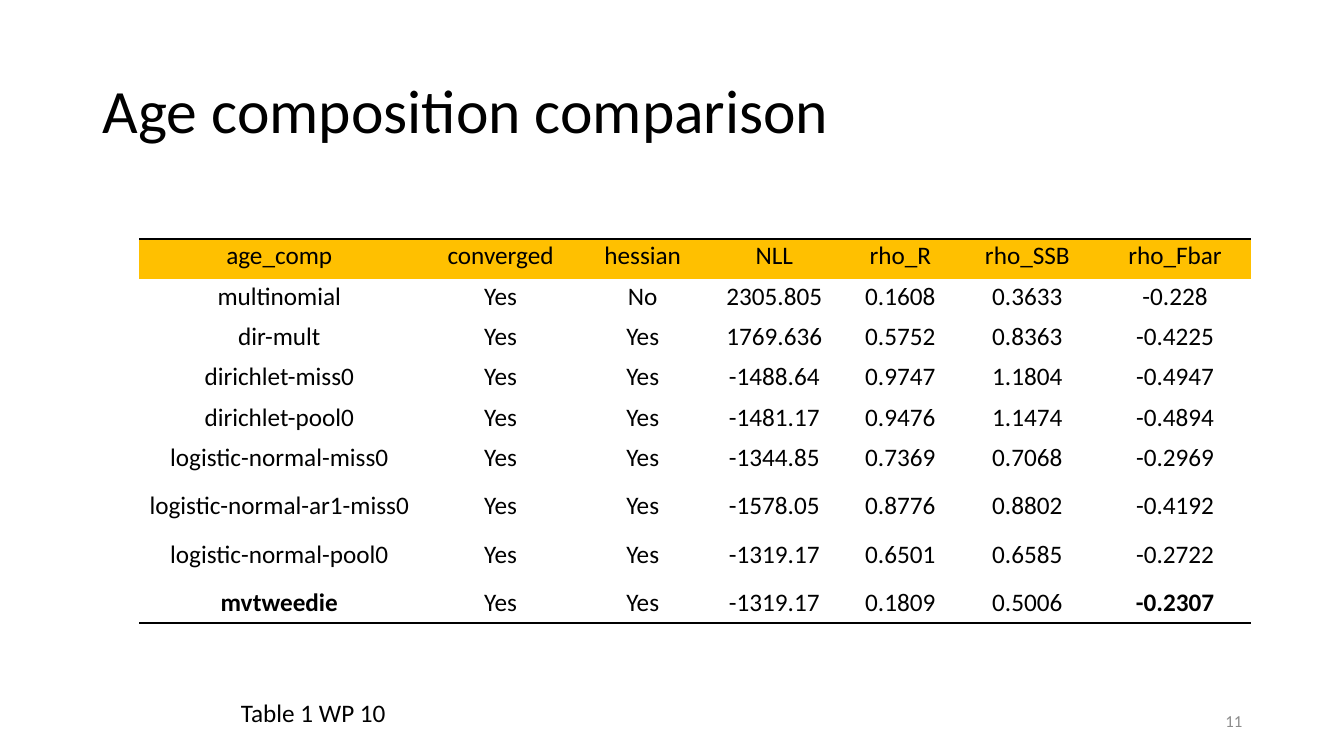
"""Build the age composition comparison slide."""
from dataclasses import dataclass

from lxml.etree import SubElement
from pptx import Presentation
from pptx.dml.color import RGBColor
from pptx.enum.text import MSO_ANCHOR as Anchor, PP_ALIGN as Align
from pptx.oxml.ns import qn
from pptx.util import Inches, Pt

GRID_UNIT = Inches(0.1)
PLAIN_TABLE_STYLE = "{2D5ABB26-0587-4C30-8999-92F81FD0307C}"


@dataclass(frozen=True)
class Theme:
    font: str = "Calibri"
    ink: str = "000000"
    paper: str = "FFFFFF"
    header: str = "FFC000"
    muted: str = "8C8C8C"
    title_size: int = 44
    body_size: int = 18
    number_size: int = 12
    rule_width: int = 2


@dataclass(frozen=True)
class Area:
    column: float
    row: float
    columns: float
    rows: float

    def box(self) -> tuple:
        return tuple(units(n) for n in (self.column, self.row, self.columns, self.rows))


@dataclass(frozen=True)
class Label:
    text: str
    area: Area
    size: int
    color: str
    align: Align = Align.LEFT
    anchor: Anchor = Anchor.TOP


THEME = Theme()
TITLE = Label("Age composition comparison", Area(9.2, 4, 115, 14.5),
              THEME.title_size, THEME.ink, anchor=Anchor.MIDDLE)
LABELS = (
    Label("Table 1 WP 10", Area(22.9, 68.7, 21.5, 4), THEME.body_size, THEME.ink),
    Label("11", Area(94.2, 69.5, 30, 4), THEME.number_size, THEME.muted,
          Align.RIGHT, Anchor.MIDDLE),
)
COLUMN_WIDTHS = (27.8, 16.1, 12.1, 14, 11, 14.2, 15.1)
ROW_HEIGHTS = (4, 4, 4, 4, 4, 4.8, 4.8, 4.8, 3.7)
TABLE_AREA = Area(13.8, 23.7, sum(COLUMN_WIDTHS), sum(ROW_HEIGHTS))
RESULTS = (
    ("age_comp", "converged", "hessian", "NLL", "rho_R", "rho_SSB", "rho_Fbar"),
    ("multinomial", "Yes", "No", "2305.805", "0.1608", "0.3633", "-0.228"),
    ("dir-mult", "Yes", "Yes", "1769.636", "0.5752", "0.8363", "-0.4225"),
    ("dirichlet-miss0", "Yes", "Yes", "-1488.64", "0.9747", "1.1804", "-0.4947"),
    ("dirichlet-pool0", "Yes", "Yes", "-1481.17", "0.9476", "1.1474", "-0.4894"),
    ("logistic-normal-miss0", "Yes", "Yes", "-1344.85", "0.7369", "0.7068", "-0.2969"),
    ("logistic-normal-ar1-miss0", "Yes", "Yes", "-1578.05", "0.8776", "0.8802", "-0.4192"),
    ("logistic-normal-pool0", "Yes", "Yes", "-1319.17", "0.6501", "0.6585", "-0.2722"),
    ("mvtweedie", "Yes", "Yes", "-1319.17", "0.1809", "0.5006", "-0.2307"),
)
BOLD_VALUES = ("mvtweedie", "-0.2307")


def units(count: float) -> int:
    return round(count * GRID_UNIT)


def apply(target, values: dict) -> None:
    for name, value in values.items():
        setattr(target, name, value)


def format_text(paragraph, size: int, color: str, align: Align,
                spacing: float = 1.0, bold: bool = False) -> None:
    apply(paragraph, {"alignment": align, "line_spacing": spacing})
    apply(paragraph.font, {"name": THEME.font, "size": Pt(size), "bold": bold})
    paragraph.font.color.rgb = RGBColor.from_string(color)


def fill_label(shape, label: Label, spacing: float = 1.0) -> None:
    left, top, width, height = label.area.box()
    apply(shape, {"left": left, "top": top, "width": width, "height": height})
    frame = shape.text_frame
    apply(frame, {"text": label.text, "word_wrap": True, "vertical_anchor": label.anchor})
    format_text(frame.paragraphs[0], label.size, label.color, label.align, spacing)


def add_rule(cell, side: str) -> None:
    properties = cell._tc.get_or_add_tcPr()
    line = SubElement(properties, qn(f"a:{side}"), w=str(Pt(THEME.rule_width)))
    SubElement(SubElement(line, qn("a:solidFill")), qn("a:srgbClr"), val=THEME.ink)


def add_results(slide) -> None:
    table = slide.shapes.add_table(len(RESULTS), len(COLUMN_WIDTHS), *TABLE_AREA.box()).table
    table._tbl.tblPr.find(qn("a:tableStyleId")).text = PLAIN_TABLE_STYLE
    apply(table, {"first_row": False, "horz_banding": False})
    for column, width in zip(table.columns, COLUMN_WIDTHS):
        column.width = units(width)
    for row, height in zip(table.rows, ROW_HEIGHTS):
        row.height = units(height)
    outer_rules = {0: "lnT", len(RESULTS) - 1: "lnB"}
    for row_index, values in enumerate(RESULTS):
        for column_index, value in enumerate(values):
            cell = table.cell(row_index, column_index)
            apply(cell, {"text": value, "vertical_anchor": Anchor.TOP,
                         "margin_left": Inches(0.07), "margin_right": Inches(0.07),
                         "margin_top": 0, "margin_bottom": 0})
            format_text(cell.text_frame.paragraphs[0], THEME.body_size, THEME.ink,
                        Align.CENTER, 1.06, value in BOLD_VALUES)
            if row_index in outer_rules:
                add_rule(cell, outer_rules[row_index])
            cell.fill.solid()
            color = THEME.paper if row_index else THEME.header
            cell.fill.fore_color.rgb = RGBColor.from_string(color)


def main() -> None:
    presentation = Presentation()
    apply(presentation, {"slide_width": Inches(13.33), "slide_height": Inches(7.5)})
    slide = presentation.slides.add_slide(presentation.slide_layouts.get_by_name("Title Only"))
    fill_label(slide.shapes.title, TITLE, 0.9)
    add_results(slide)
    for label in LABELS:
        fill_label(slide.shapes.add_textbox(*label.area.box()), label)
    presentation.save("out.pptx")


if __name__ == "__main__":
    main()
